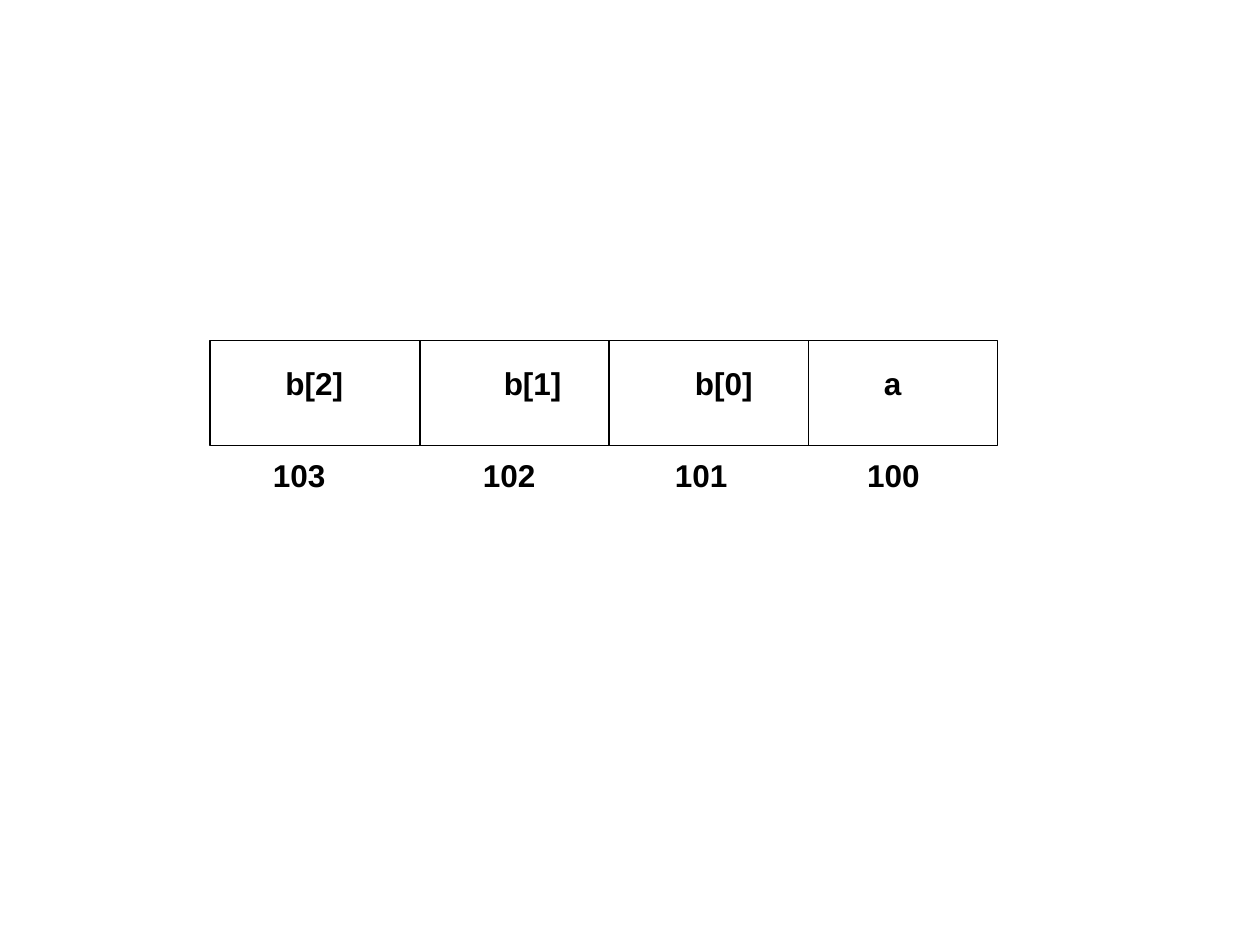
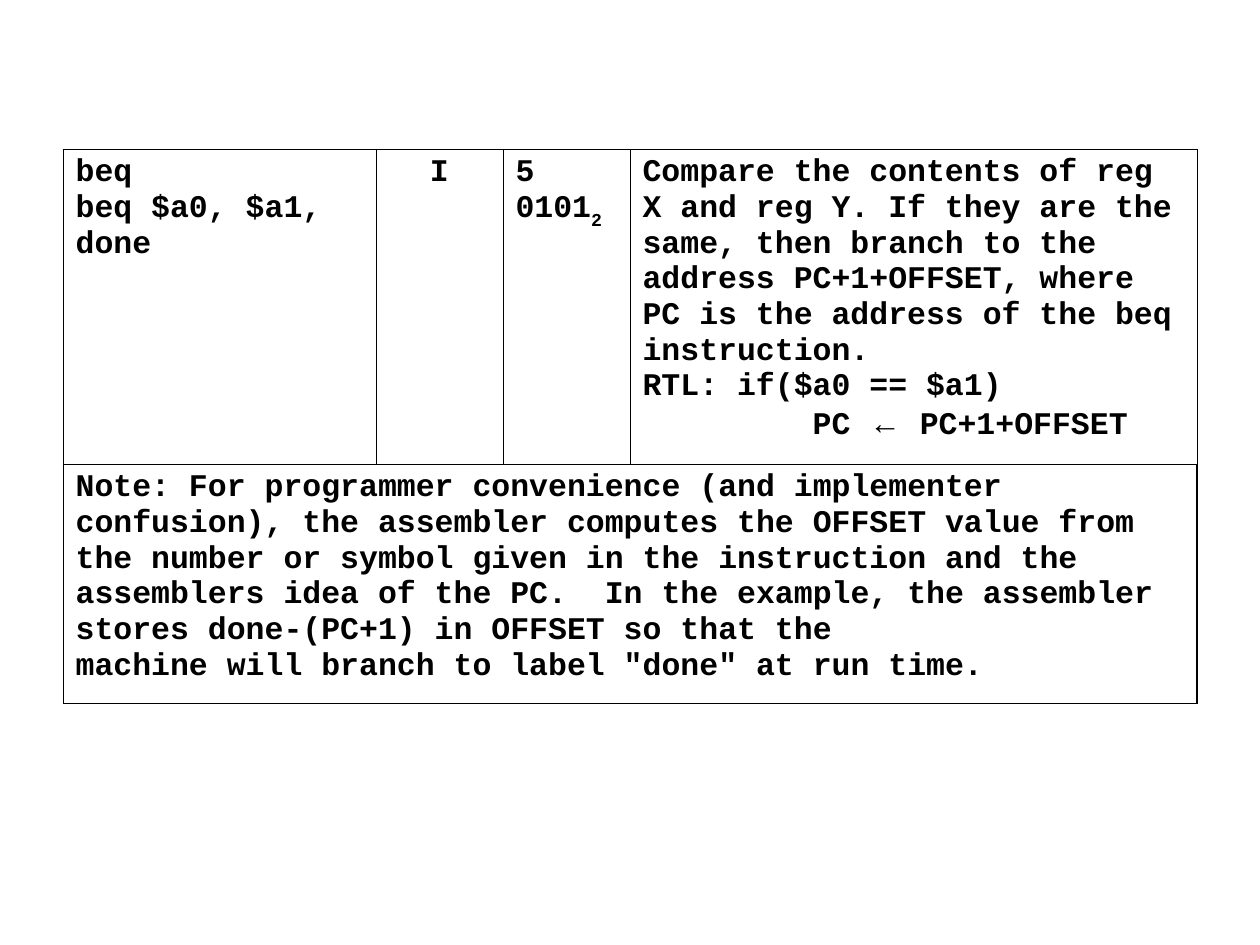
from lxml.etree import SubElement as Sub
from pptx import Presentation
from pptx.dml.color import RGBColor
from pptx.enum.shapes import MSO_CONNECTOR as Line, MSO_SHAPE as Shape
from pptx.enum.text import MSO_AUTO_SIZE as AutoSize, PP_ALIGN as Align
from pptx.oxml.ns import qn
from pptx.util import Inches, Pt

# Shared look; every length is counted in twelfths of an inch
BLACK = RGBColor(0x00, 0x00, 0x00)
LABEL_FONT = "Arial"
CODE_FONT = "Courier New"
TEXT_FORMAT = {"size": Pt(18), "bold": True}
BLANK_LAYOUT = 6

# Memory strip: (cell edge, name, name's left)
STRIP_TOP, STRIP_HEIGHT, STRIP_RIGHT = 32.4, 10, 95
MEMORY_CELLS = [(20, "b[2]", 26), (40, "b[1]", 46.8),
                (58, "b[0]", 65), (77, "a", 83)]
ADDRESSES = ["103", "102", "101", "100"]
ADDRESS_TABS = [20, 38.3, 56.6]

# Instruction table: cells hold paragraphs, paragraphs hold (text, format) runs
TABLE_LEFT, TABLE_TOP = 6, 14.2
COLUMN_WIDTHS = [29.8, 12.1, 12.1, 54]
ROW_HEIGHTS = [30, 22.8]
BORDER, HEAVY_BORDER = Pt(0.45), Pt(1.08)
INSTRUCTION = [
    [["beq"], ["beq $a0, $a1, done"]],
    [["I"]],
    [["5"], ["0101", ("2", {"baseline": "-30000"})]],
    [["Compare the contents of reg X and reg Y. If they are the same, then "
      "branch to the address PC+1+OFFSET, where PC is the address of the beq "
      "instruction."],
     ["RTL: if($a0 == $a1)"],
     ["         PC ", ("←", {"font": LABEL_FONT}), " PC+1+OFFSET"]],
]
NOTE = [
    ["Note: For programmer convenience (and implementer confusion), the "
     "assembler computes the OFFSET value from the number or symbol given in "
     "the instruction and the assemblers idea of the PC.  In the example, the "
     "assembler stores done-(PC+1) in OFFSET so that the"],
    ['machine will branch to label "done" at run time.'],
]


def units(count):
    return Inches(count / 12)


def add_run(paragraph, text, font_name, baseline=None):
    run = paragraph.add_run()
    run.text = text
    for name, value in {**TEXT_FORMAT, "name": font_name}.items():
        setattr(run.font, name, value)
    run.font.color.rgb = BLACK
    if baseline:
        run._r.get_or_add_rPr().set("baseline", baseline)


def add_label(slide, text, left, top, width, tabs=()):
    box = slide.shapes.add_textbox(units(left), units(top), units(width), units(4.8))
    frame = box.text_frame
    frame.word_wrap = bool(tabs)
    frame.auto_size = AutoSize.SHAPE_TO_FIT_TEXT
    paragraph = frame.paragraphs[0]
    if tabs:
        stops = Sub(paragraph._p.get_or_add_pPr(), qn("a:tabLst"))
        for stop in tabs:
            Sub(stops, qn("a:tab"), pos=str(units(stop)), algn="l")
    add_run(paragraph, text, LABEL_FONT)


def add_strip(slide, left, right):
    strip = slide.shapes.add_shape(Shape.RECTANGLE, units(left), units(STRIP_TOP),
                                   units(right - left), units(STRIP_HEIGHT))
    strip.shadow.inherit = False
    strip.fill.background()
    strip.line.color.rgb = BLACK
    strip.line.width = Pt(0.75)


def add_divider(slide, x):
    divider = slide.shapes.add_connector(
        Line.STRAIGHT, units(x), units(STRIP_TOP),
        units(x), units(STRIP_TOP + STRIP_HEIGHT))
    divider.line.color.rgb = BLACK
    divider.line.width = Pt(0.75)
    Sub(divider._element.spPr, qn("a:effectLst"))


def style_cell(cell, right_border=BORDER):
    properties = cell._tc.get_or_add_tcPr()
    for side in "LRTB":
        width = right_border if side == "R" else BORDER
        border = Sub(properties, qn(f"a:ln{side}"), w=str(int(width)))
        Sub(Sub(border, qn("a:solidFill")), qn("a:srgbClr"), val=str(BLACK))
    cell.fill.background()


def fill_cell(cell, paragraphs, align=Align.LEFT):
    frame = cell.text_frame
    for index, runs in enumerate(paragraphs):
        paragraph = frame.add_paragraph() if index else frame.paragraphs[0]
        paragraph.alignment = align
        for run in runs:
            text, style = (run, {}) if isinstance(run, str) else run
            add_run(paragraph, text, style.get("font", CODE_FONT),
                    style.get("baseline"))


def build_memory_slide(slide):
    add_strip(slide, MEMORY_CELLS[0][0], STRIP_RIGHT)
    for edge, _, _ in MEMORY_CELLS[1:]:
        add_divider(slide, edge)
    for _, name, left in MEMORY_CELLS:
        add_label(slide, name, left, 34.1, 8 if len(name) > 1 else 4)
    # Addresses line up under the cells by tab stops
    add_label(slide, "\t".join(ADDRESSES), 24.8, 42.8, 64.2, ADDRESS_TABS)


def build_instruction_slide(slide):
    table = slide.shapes.add_table(
        len(ROW_HEIGHTS), len(COLUMN_WIDTHS), units(TABLE_LEFT), units(TABLE_TOP),
        units(sum(COLUMN_WIDTHS)), units(sum(ROW_HEIGHTS))).table
    table.first_row = table.horz_banding = False
    for column, width in zip(table.columns, COLUMN_WIDTHS):
        column.width = units(width)
    for row, height in zip(table.rows, ROW_HEIGHTS):
        row.height = units(height)

    # Instruction row, then one note across all columns
    for index, paragraphs in enumerate(INSTRUCTION):
        cell = table.cell(0, index)
        fill_cell(cell, paragraphs, Align.CENTER if index == 1 else Align.LEFT)
        style_cell(cell)
    note = table.cell(1, 0)
    note.merge(table.cell(1, len(COLUMN_WIDTHS) - 1))
    fill_cell(note, NOTE)
    for cell in table.rows[1].cells:
        style_cell(cell, HEAVY_BORDER)


def main():
    deck = Presentation()
    deck.slide_width, deck.slide_height = Inches(10), Inches(7.5)
    for build in (build_memory_slide, build_instruction_slide):
        build(deck.slides.add_slide(deck.slide_layouts[BLANK_LAYOUT]))
    deck.save("out.pptx")


if __name__ == "__main__":
    main()
